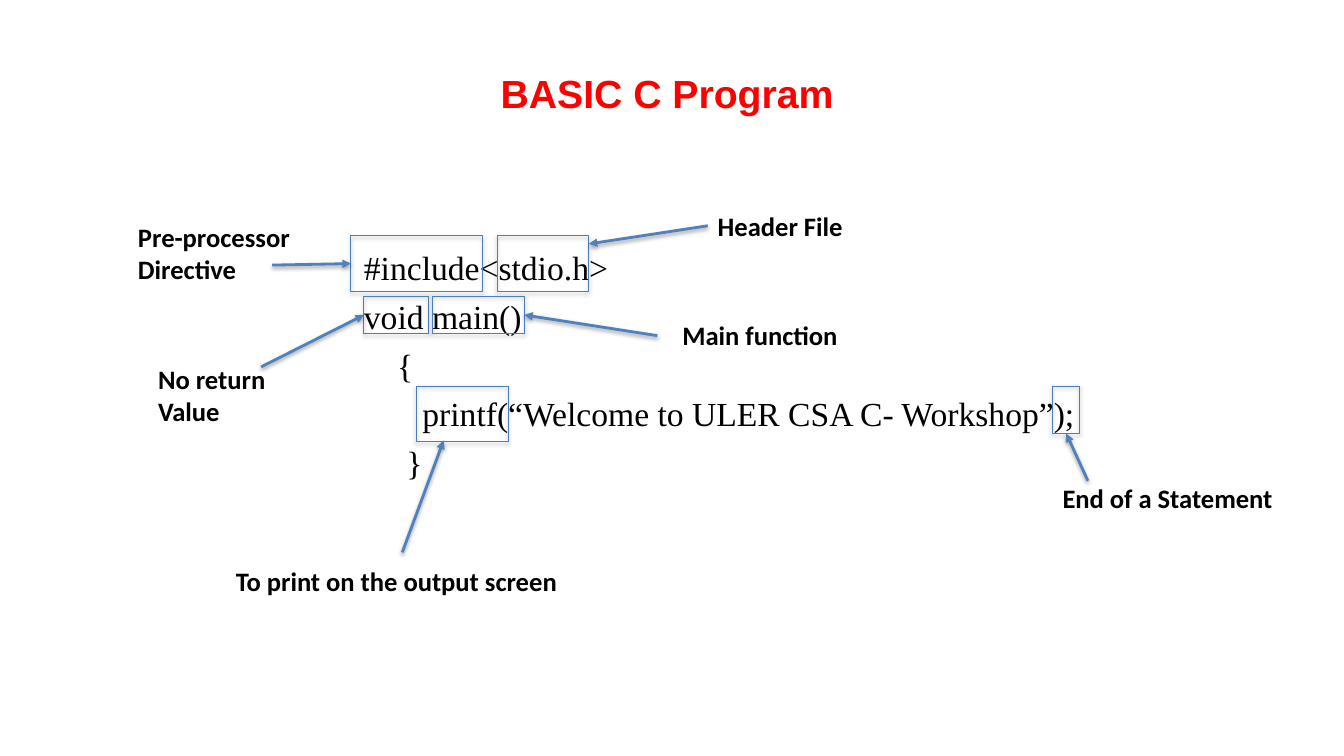
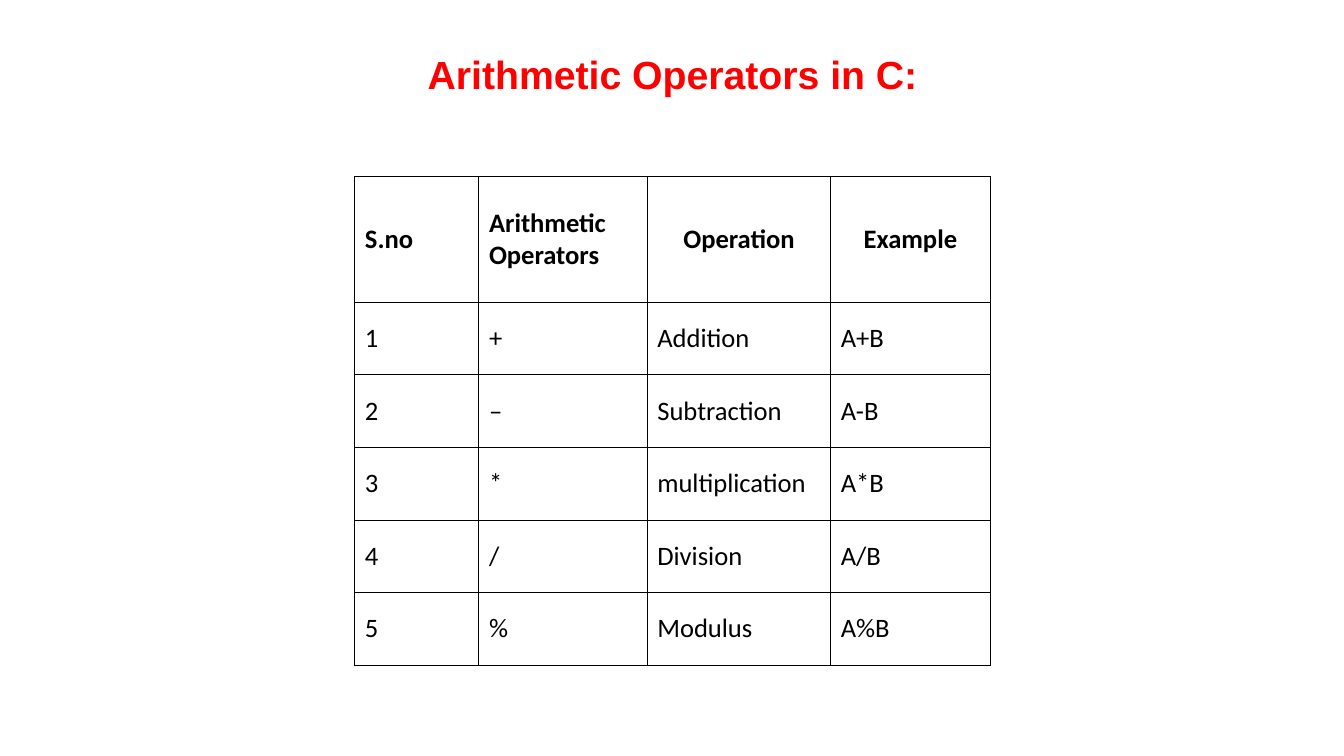
from lxml import etree
from pptx import Presentation
from pptx import util as u
from pptx.dml.color import RGBColor
from pptx.enum import shapes, text
from pptx.oxml.ns import qn

RED, BLACK, EDGE, BLUE = "FF0000", "000000", "4B7EBC", "4F81BD"
LEFT, CENTER = text.PP_ALIGN.LEFT, text.PP_ALIGN.CENTER
SIDES = {"top": 0, "left": 1, "bottom": 2, "right": 3}


def color(code):
    return RGBColor.from_string(code)


def node(parent, tag, **attrs):
    return etree.SubElement(parent, qn(tag), attrs)


class Deck:
    """Holds the shared style and the slide being drawn."""

    def __init__(self):
        self.prs = Presentation()
        self.prs.slide_width = u.Inches(13.33)
        self.prs.slide_height = u.Inches(7.5)
        self.slide = None

    def page(self, name, box):
        self.slide = self.prs.slides.add_slide(self.prs.slide_layouts[6])
        frame = self.frame(box, inset=0)
        frame.vertical_anchor = text.MSO_ANCHOR.MIDDLE
        self.put(frame.paragraphs[0], name, 28, "Arial", RED, True, CENTER)

    def frame(self, box, inset=None, wrap=True):
        frame = self.slide.shapes.add_textbox(*map(u.Inches, box)).text_frame
        frame.word_wrap = wrap
        if inset is not None:
            frame.margin_left = frame.margin_right = u.Inches(inset)
            frame.margin_top = frame.margin_bottom = u.Inches(inset)
        return frame

    def put(self, para, words, size=19, face="Calibri", tint=BLACK,
            bold=False, align=LEFT):
        para.alignment = align
        run = para.add_run()
        run.text = words
        run.font.size = u.Pt(size)
        run.font.name = face
        run.font.bold = bold
        run.font.color.rgb = color(tint)

    def label(self, words, box, wrap=True):
        frame = self.frame(box, wrap=wrap)
        self.put(frame.paragraphs[0], words, bold=True)

    def code(self, lines, box):
        frame = self.frame(box, inset=0)
        for i, (words, indent) in enumerate(lines):
            para = frame.add_paragraph() if i else frame.paragraphs[0]
            para.space_before = u.Pt(6 if i else 0)
            props = para._p.get_or_add_pPr()
            props.set("marL", str(u.Inches(indent)))
            props.set("indent", "0")
            self.put(para, words, 24, "Times New Roman")

    def shade(self, effects, dist, alpha):
        shadow = node(effects, "a:outerShdw", blurRad=str(u.Pt(3.1)),
                      dist=str(u.Pt(dist)), dir="5400000", rotWithShape="0")
        tint = node(shadow, "a:srgbClr", val=BLACK)
        node(tint, "a:alpha", val=str(alpha * 1000))

    def mark(self, box):
        rect = self.slide.shapes.add_shape(
            shapes.MSO_SHAPE.RECTANGLE, *map(u.Inches, box))
        rect.fill.background()
        rect.line.color.rgb = color(EDGE)
        rect.line.width = u.Pt(0.75)
        rect.shadow.inherit = False
        self.shade(rect._element.spPr.find(qn("a:effectLst")), 1.8, 35)
        return rect

    def arrow(self, start, end, rect=None, side=None):
        line = self.slide.shapes.add_connector(
            shapes.MSO_CONNECTOR.STRAIGHT, *map(u.Inches, start + end))
        if side:
            line.end_connect(rect, SIDES[side])
        line.line.color.rgb = color(BLUE)
        line.line.width = u.Pt(2)
        props = line._element.spPr
        node(props.find(qn("a:ln")), "a:tailEnd", type="triangle")
        self.shade(node(props, "a:effectLst"), 1.6, 38)

    def border(self, cell):
        props = cell._tc.get_or_add_tcPr()
        for tag in ("a:lnL", "a:lnR", "a:lnT", "a:lnB"):
            line = node(props, tag, w=str(u.Pt(0.75)))
            node(node(line, "a:solidFill"), "a:srgbClr", val=BLACK)

    def table(self, rows, left, top, widths, heights):
        size = (left, top, sum(widths), sum(heights))
        grid = self.slide.shapes.add_table(
            len(rows), len(widths), *map(u.Inches, size)).table
        grid.first_row = grid.horz_banding = False
        for col, width in zip(grid.columns, widths):
            col.width = u.Inches(width)
        for r, row in enumerate(rows):
            grid.rows[r].height = u.Inches(heights[r])
            for c, words in enumerate(row):
                cell = grid.cell(r, c)
                self.border(cell)
                cell.fill.background()
                cell.vertical_anchor = text.MSO_ANCHOR.MIDDLE
                self.put(cell.text_frame.paragraphs[0], words, bold=r == 0,
                         align=CENTER if r == 0 and c > 1 else LEFT)


def program(deck):
    deck.page("BASIC C Program ", (0.67, 0.3, 12, 1.25))
    deck.code([
        ("#include<stdio.h>", 0),
        ("void main()", 0),
        ("{", 0.33),
        ("printf(“Welcome to ULER CSA C- Workshop”);", 0.58),
        ("}", 0.42),
    ], (3.61, 2.45, 9.5, 2.4))
    notes = [
        ("Pre-processor Directive", (1.27, 2.14, 1.95, 0.74), True,
         (3.48, 2.34, 1.31, 0.55), (2.7, 2.63), (3.48, 2.61), "left"),
        ("Header File", (7.02, 2.03, 2.09, 0.42), True,
         (4.93, 2.34, 0.91, 0.55), (7.02, 2.24), (5.84, 2.42), None),
        ("No return Value", (1.47, 3.55, 1.42, 0.74), True,
         (3.61, 2.94, 0.64, 0.37), (2.59, 3.64), (3.61, 3.13), "left"),
        ("Main function", (6.67, 3.11, 2.07, 0.42), True,
         (4.29, 2.94, 0.91, 0.37), (6.52, 3.33), (5.2, 3.13), "right"),
        ("To print on the output screen", (2.24, 5.56, 3.43, 0.42), False,
         (4.13, 3.83, 0.91, 0.55), (3.99, 5.48), (4.4, 4.37), None),
        ("End of a Statement", (10.44, 4.73, 2.31, 0.42), False,
         (10.44, 3.83, 0.27, 0.47), (10.79, 4.77), (10.58, 4.3), "bottom"),
    ]
    for words, box, wrap, area, start, end, side in notes:
        rect = deck.mark(area)
        deck.arrow(start, end, rect, side)
        deck.label(words, box, wrap)


def maths(deck):
    deck.page("Arithmetic Operators in C:", (2.17, 0.3, 9, 0.87))
    names = ["Addition", "Subtraction", "multiplication", "Division",
             "Modulus"]
    rows = [("S.no", "Arithmetic Operators", "Operation", "Example")]
    for i, (sign, name) in enumerate(zip("+–*/%", names), 1):
        term = "-" if sign == "–" else sign
        rows.append((str(i), sign, name, f"A{term}B"))
    deck.table(rows, 3.52, 1.75, [1.23, 1.67, 1.82, 1.58],
               [1.25] + [0.72] * len(names))


def main():
    deck = Deck()
    program(deck)
    maths(deck)
    deck.prs.save("out.pptx")


if __name__ == "__main__":
    main()
